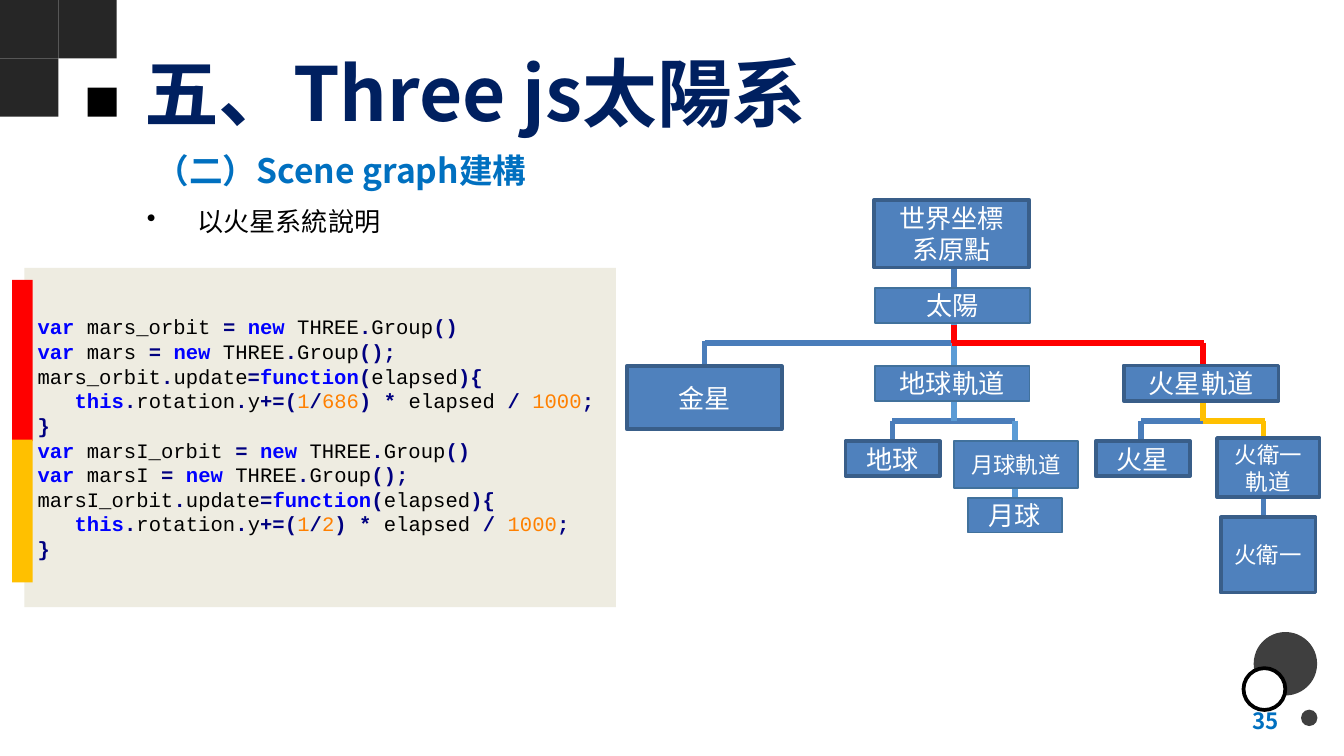
from itertools import groupby
from lxml import etree
from pptx import Presentation
from pptx.dml.color import RGBColor
from pptx.enum.shapes import MSO_CONNECTOR, MSO_SHAPE
from pptx.enum.text import MSO_ANCHOR, PP_ALIGN
from pptx.oxml.ns import qn
from pptx.util import Pt

RECT, OVAL = MSO_SHAPE.RECTANGLE, MSO_SHAPE.OVAL
LINE = MSO_CONNECTOR.STRAIGHT
MID = MSO_ANCHOR.MIDDLE
LEFT, CENTER, RIGHT = PP_ALIGN.LEFT, PP_ALIGN.CENTER, PP_ALIGN.RIGHT
SANS, MONO = "Noto Sans CJK TC", "Courier New"
rgb = RGBColor.from_string


def write(para, text, size, color, bold=False, face=SANS):
    run = para.add_run()
    run.text = text
    font = run.font
    font.size, font.bold, font.name = Pt(size), bold, face
    font.color.rgb = rgb(color)
    etree.SubElement(font._element, qn("a:ea"), typeface=face)


def draw(kind, x, y, w, h, fill, edge=None, wide=0):
    shape = slide.shapes.add_shape(kind, Pt(x), Pt(y), Pt(w), Pt(h))
    shape.shadow.inherit = False
    shape.fill.solid()
    shape.fill.fore_color.rgb = rgb(fill)
    if edge:
        shape.line.color.rgb = rgb(edge)
        shape.line.width = Pt(wide)
    else:
        shape.line.fill.background()
    shape.text_frame.word_wrap = True
    shape.text_frame.vertical_anchor = MID
    return shape


deck = Presentation()
deck.slide_width, deck.slide_height = Pt(720), Pt(405)
slide = deck.slides.add_slide(deck.slide_layouts[5])

# Title
title = slide.shapes.title
title.left, title.top, title.width, title.height = Pt(70), Pt(15), Pt(650), Pt(68)
title.text_frame.vertical_anchor = MID
para = title.text_frame.paragraphs[0]
para.alignment = LEFT
write(para, "五、Three js太陽系", 40, "002060", True)

# Corner squares and circles
for x, y in [(0, 0), (31.3, 0), (0, 31.3)]:
    draw(RECT, x, y, 31.3, 31.3, "262626")
draw(RECT, 46.9, 46.9, 15.6, 15.6, "000000")
draw(OVAL, 671.6, 338.6, 34, 34, "3F3F3F")
draw(OVAL, 697, 380.2, 8.8, 8.8, "3F3F3F")
draw(OVAL, 666.2, 358, 22.4, 22.4, "FFFFFF", "000000", 2)

# Page number, subtitle and bullet
labels = [
    ("35", 524, 375, 168, 21.6, 12, "0070C0", True, RIGHT),
    ("（二）Scene graph建構", 76.3, 74.2, 255.6, 33.8, 18, "0070C0", True, LEFT),
    ("以火星系統說明", 62.6, 106.6, 247, 90, 14, "000000", False, LEFT),
]
for text, x, y, w, h, size, color, bold, align in labels:
    frame = slide.shapes.add_textbox(Pt(x), Pt(y), Pt(w), Pt(h)).text_frame
    frame.word_wrap = True
    para = frame.paragraphs[0]
    para.alignment = align
    if bold:
        frame.vertical_anchor = MID
    else:
        props = para._p.get_or_add_pPr()
        props.set("marL", str(Pt(36)))
        props.set("indent", str(-Pt(27)))
        etree.SubElement(props, qn("a:buChar"), char="•")
    write(para, text, size, color, bold)

# Scene graph: links behind the nodes, nodes, then the marked path
BLUE, SKY, RED, GOLD = "4A7DBA", "5B9BD5", "FF0000", "FFC000"
DARK, THIN = ("395E89", 2), ("41719C", 1)
VENUS, EARTH, MARS = 377.5, 511, 644.4
GLOBE, MOON, BALL, PHOBOS = 478.1, 543.6, 611.3, 676.8
BAR, FORK = 183.6, 225.4
links = [
    (VENUS, BAR, MARS, BAR, BLUE),
    (VENUS, 182.6, VENUS, 196, BLUE),
    (EARTH, 173, EARTH, 196, SKY),
    (MARS, BAR, MARS, 196.6, RED),
    (EARTH, 143.3, EARTH, 156.2, BLUE),
    (GLOBE, FORK, MOON, FORK, BLUE),
    (EARTH, 212.4, EARTH, FORK, SKY),
    (GLOBE, FORK, GLOBE, 238.3, BLUE),
    (MOON, FORK, MOON, 238.3, SKY),
    (MOON, 254.9, MOON, 267.8, SKY),
    (BALL, FORK, PHOBOS, FORK, BLUE),
    (MARS, 214.6, MARS, FORK, GOLD),
    (PHOBOS, FORK, PHOBOS, 238.3, GOLD),
    (BALL, FORK, BALL, 238.3, BLUE),
    (PHOBOS, 264.2, PHOBOS, 277.2, BLUE),
]
nodes = [
    ("世界坐標系原點", 468.4, 107, 83, 36.3, 14, DARK),
    ("太陽", 468.8, 154.2, 83, 18.7, 14, THIN),
    ("金星", 335.8, 196.2, 83, 33.8, 14, DARK),
    ("地球軌道", 468.6, 196, 83, 18.7, 14, THIN),
    ("地球", 453, 236.4, 50.6, 18.7, 14, DARK),
    ("月球軌道", 511, 236.4, 66.5, 25.2, 12, THIN),
    ("月球", 518.4, 266.6, 50.6, 18.7, 14, THIN),
    ("火星軌道", 602, 195.8, 83, 18.9, 14, DARK),
    ("火星", 587, 236.4, 50.6, 18.7, 14, DARK),
    ("火衛一軌道", 652, 234.7, 55, 31.7, 12, DARK),
    ("火衛一", 654, 277.2, 50.8, 40.3, 12, DARK),
]
marks = [
    (MARS, FORK, 677.5, FORK, GOLD),
    (EARTH, 174.2, EARTH, BAR, RED),
    (509.8, BAR, 645.1, BAR, RED),
]
for part in links + nodes + marks:
    if len(part) == 5:
        *ends, color = part
        link = slide.shapes.add_connector(LINE, *[Pt(n) for n in ends])
        link.line.color.rgb = rgb(color)
        link.line.width = Pt(3)
        etree.SubElement(link._element.spPr, qn("a:effectLst"))
    else:
        text, x, y, w, h, size, edge = part
        para = draw(RECT, x, y, w, h, "4F81BD", *edge).text_frame.paragraphs[0]
        para.alignment = CENTER
        write(para, text, size, "FFFFFF")

# Code panel, coloured by kind of token
code = """\
var mars_orbit = new THREE.Group()
var mars = new THREE.Group();
mars_orbit.update=function(elapsed){
   this.rotation.y+=(1/686) * elapsed / 1000;
}
var marsI_orbit = new THREE.Group()
var marsI = new THREE.Group();
marsI_orbit.update=function(elapsed){
   this.rotation.y+=(1/2) * elapsed / 1000;
}"""
frame = draw(RECT, 13, 143.5, 317, 181.8, "EEECE1").text_frame
for i, row in enumerate(code.split("\n")):
    para = frame.add_paragraph() if i else frame.paragraphs[0]
    para.alignment = LEFT
    for kind, chars in groupby(row, lambda c: "word" if c.isalnum() or c == "_" else c.isspace()):
        token = "".join(chars)
        if token in ("var", "new", "function", "this"):
            color, bold = "0000FF", True
        elif token.isdigit():
            color, bold = "FF8000", False
        elif kind == "word" or kind:
            color, bold = "000000", False
        else:
            color, bold = "000080", True
        write(para, token, 11, color, bold, MONO)

# Side bars that tie the code to the marked path
draw(RECT, 6.5, 150, 11, 86.4, RED)
draw(RECT, 6.5, 235.6, 11, 76.4, GOLD)

deck.save("out.pptx")
